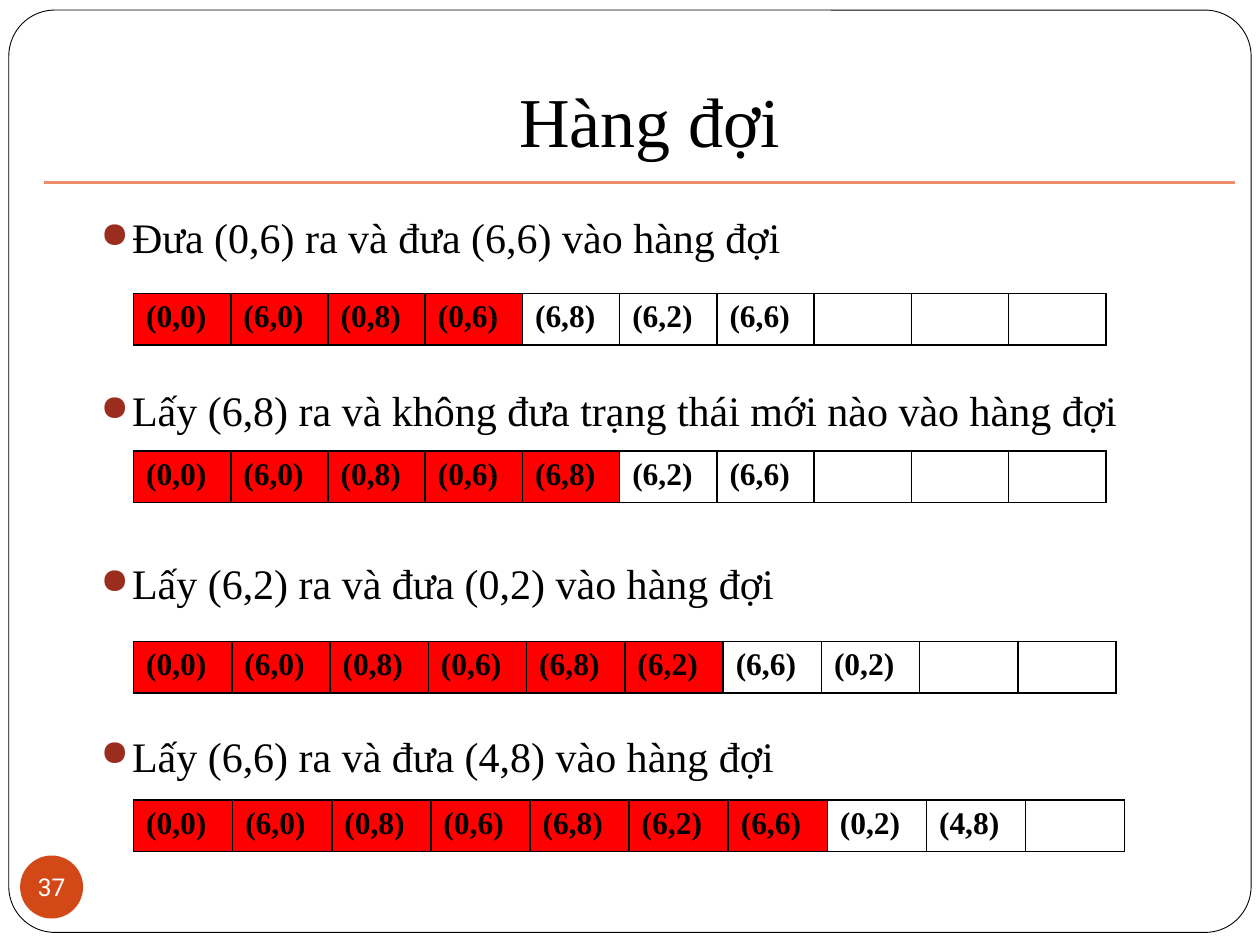
from lxml.etree import SubElement
from pptx import Presentation
from pptx.dml.color import RGBColor
from pptx.enum.shapes import MSO_CONNECTOR, MSO_SHAPE
from pptx.enum.text import MSO_ANCHOR, PP_ALIGN
from pptx.oxml.ns import qn
from pptx.util import Inches, Pt

BLACK = RGBColor(0x00, 0x00, 0x00)
WHITE = RGBColor(0xFF, 0xFF, 0xFF)
RED = RGBColor(0xFF, 0x00, 0x00)
SALMON = RGBColor(0xEF, 0x8C, 0x6A)
ORANGE = RGBColor(0xD3, 0x48, 0x17)
MAROON = RGBColor(0x9B, 0x2D, 0x1F)
SERIF = "Times New Roman"

STEPS = [
    "Đưa (0,6) ra và đưa (6,6) vào hàng đợi",
    "Lấy (6,8) ra và không đưa trạng thái mới nào vào hàng đợi",
    "Lấy (6,2) ra và đưa (0,2) vào hàng đợi",
    "Lấy (6,6) ra và đưa (4,8) vào hàng đợi",
]
STATES = ["(0,0)", "(6,0)", "(0,8)", "(0,6)", "(6,8)", "(6,2)", "(6,6)", "(0,2)", "(4,8)"]
SLOTS = 10
# Top and width in inches, states queued so far, states already taken out
QUEUES = [(2.33, 7.72, 7, 4), (3.58, 7.72, 7, 5), (5.09, 7.8, 8, 6), (6.35, 7.87, 9, 7)]


def set_font(para, size, color, name=SERIF, bold=False):
    font = para.font
    font.size, font.name, font.bold = Pt(size), name, bold
    font.color.rgb = color


def add_frame(page, left, top, width, height):
    frame = page.shapes.add_shape(MSO_SHAPE.ROUNDED_RECTANGLE, left, top, width, height)
    frame.adjustments[0] = 0.05
    frame.shadow.inherit = False
    frame.fill.solid()
    frame.fill.fore_color.rgb = WHITE
    frame.line.color.rgb = BLACK
    frame.line.width = Pt(0.5)
    # Send behind the title
    page.shapes.title.element.addprevious(frame.element)


def add_title(page, left, top, width, height):
    title = page.shapes.title
    title.left, title.top, title.width, title.height = left, top, width, height
    text = title.text_frame
    text.text = "Hàng đợi"
    text.vertical_anchor = MSO_ANCHOR.BOTTOM
    text.margin_bottom = Inches(0.1)
    para = text.paragraphs[0]
    para.alignment = PP_ALIGN.CENTER
    set_font(para, 40, BLACK)


def add_rule(page, left, top, width):
    rule = page.shapes.add_connector(MSO_CONNECTOR.STRAIGHT, left, top, left + width, top)
    rule.line.color.rgb = SALMON
    rule.line.width = Pt(2)
    SubElement(rule.element.spPr, qn("a:effectLst"))


def add_page_number(page, left, top, size):
    badge = page.shapes.add_shape(MSO_SHAPE.OVAL, left, top, size, size)
    badge.shadow.inherit = False
    badge.fill.solid()
    badge.fill.fore_color.rgb = ORANGE
    badge.line.fill.background()
    text = badge.text_frame
    text.margin_left = text.margin_right = text.margin_top = text.margin_bottom = 0
    text.word_wrap = False
    text.vertical_anchor = MSO_ANCHOR.MIDDLE
    text.text = "37"
    text.paragraphs[0].alignment = PP_ALIGN.CENTER
    set_font(text.paragraphs[0], 14, WHITE, "Roboto")


def add_bullet(para):
    props = para._p.get_or_add_pPr()
    props.set("marL", str(Inches(0.6)))
    props.set("indent", str(Inches(-0.25)))
    color = SubElement(props, qn("a:buClr"))
    SubElement(color, qn("a:srgbClr"), val=str(MAROON))
    SubElement(props, qn("a:buSzPct"), val="85000")
    SubElement(props, qn("a:buChar"), char="●")


def add_steps(page, left, top, width, height):
    text = page.shapes.add_textbox(left, top, width, height).text_frame
    text.word_wrap = True
    for index, step in enumerate(STEPS):
        para = text.paragraphs[0] if index == 0 else text.add_paragraph()
        para.text = step
        if index:
            para.space_before = Pt(70)
        add_bullet(para)
        set_font(para, 24, BLACK)


def add_borders(cell):
    props = cell._tc.get_or_add_tcPr()
    for position, side in enumerate(("a:lnL", "a:lnR", "a:lnT", "a:lnB")):
        border = props.makeelement(qn(side), w=str(Pt(1)))
        fill = SubElement(border, qn("a:solidFill"))
        SubElement(fill, qn("a:srgbClr"), val=str(BLACK))
        props.insert(position, border)


def add_queue(page, left, top, width, height, queued, taken):
    table = page.shapes.add_table(1, SLOTS, left, top, width, height).table
    table.first_row = table.horz_banding = False
    for slot in range(SLOTS):
        table.columns[slot].width = width // SLOTS
        cell = table.cell(0, slot)
        if slot < queued:
            cell.text = STATES[slot]
        set_font(cell.text_frame.paragraphs[0], 18, BLACK, bold=True)
        if slot < taken:
            cell.fill.solid()
            cell.fill.fore_color.rgb = RED
        else:
            cell.fill.background()
        add_borders(cell)


def main():
    deck = Presentation()
    deck.slide_width, deck.slide_height = Inches(10), Inches(7.5)
    page = deck.slides.add_slide(deck.slide_layouts[5])

    add_frame(page, Inches(0.07), Inches(0.08), Inches(9.86), Inches(7.32))
    add_title(page, Inches(0.51), Inches(0.13), Inches(9.29), Inches(1.25))
    add_rule(page, Inches(0.35), Inches(1.45), Inches(9.45))
    add_page_number(page, Inches(0.16), Inches(6.79), Inches(0.5))
    add_steps(page, Inches(0.35), Inches(1.63), Inches(9.13), Inches(5.42))
    for top, width, queued, taken in QUEUES:
        add_queue(page, Inches(1.06), Inches(top), Inches(width), Inches(0.41), queued, taken)

    deck.save("out.pptx")


if __name__ == "__main__":
    main()
